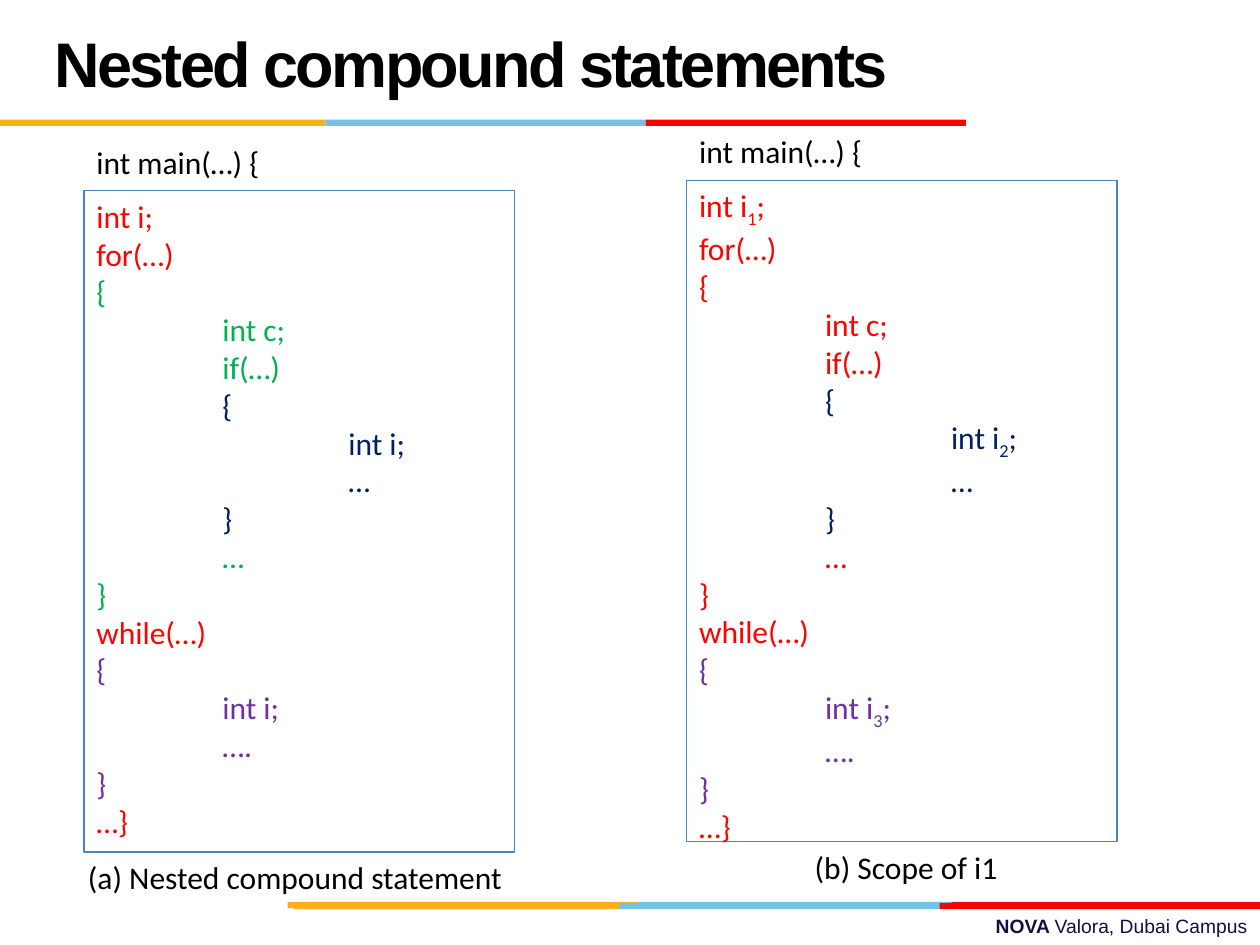
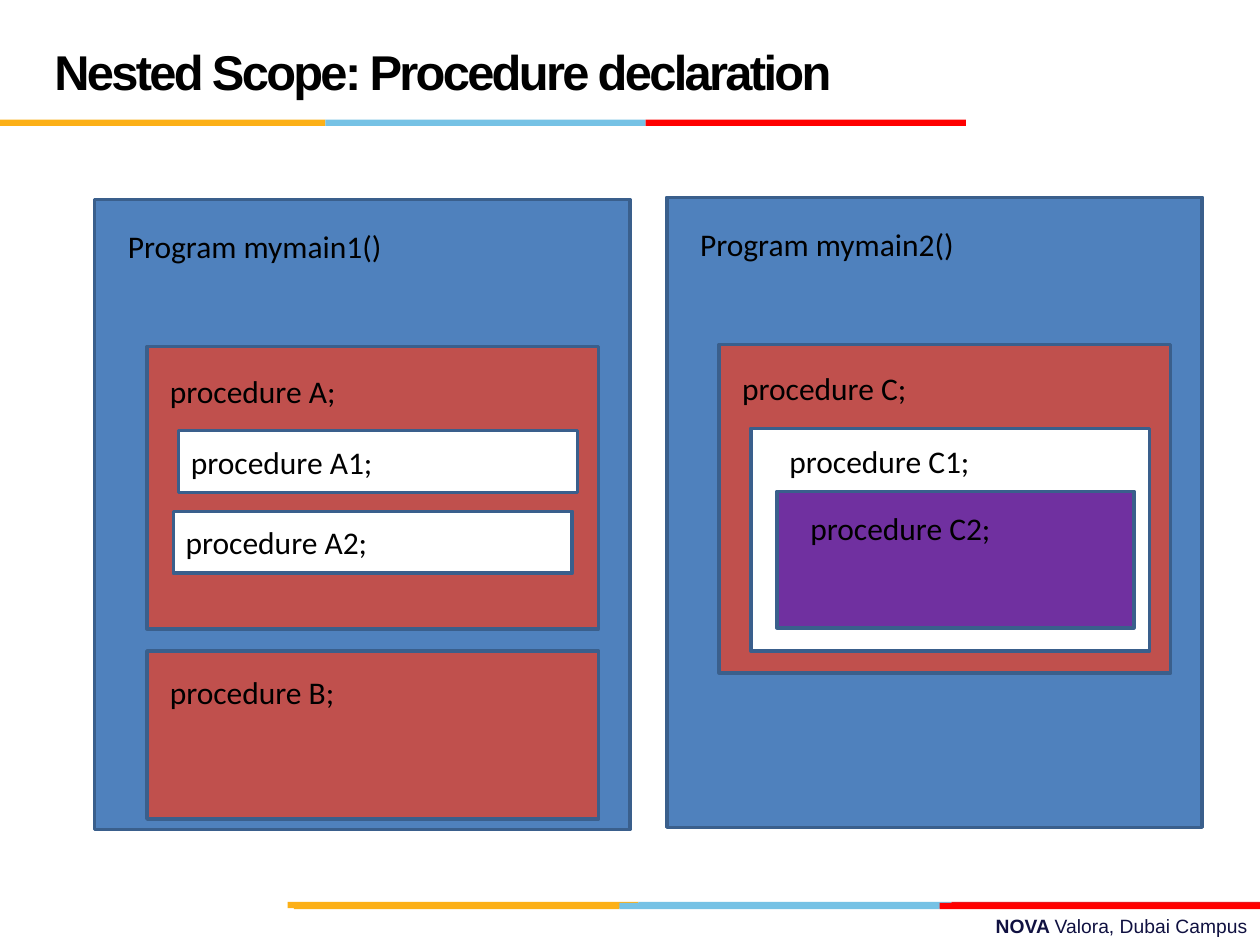
from dataclasses import dataclass

from pptx import Presentation, util as u
from pptx.dml.color import RGBColor
from pptx.enum import shapes, text

COLORS = {
    "black": "000000", "white": "FFFFFF", "navy": "101141",
    "amber": "FCB017", "sky": "76C2E5", "crimson": "E31C24", "red": "FF0000",
    "blue": "4F81BD", "edge": "3A5F8C", "brick": "C0504D",
    "green": "00B050", "ink": "002060", "purple": "7030A0",
}
# The slide is a grid of square cells
COLS, ROWS = 120, 90
CELL = u.Inches(10) / COLS
LABEL_ROWS = 4.8


def rgb(name):
    return RGBColor.from_string(COLORS[name])


def place(box):
    return [u.Emu(round(cells * CELL)) for cells in box]


def add_run(paragraph, wording, color="black", size=18, font="Calibri", bold=False):
    run = paragraph.add_run()
    run.text = wording
    run.font.name, run.font.size, run.font.bold = font, u.Pt(size), bold
    run.font.color.rgb = rgb(color)
    return run


def add_box(slide, box, fill=None, edge=None, weight=2):
    rect = slide.shapes.add_shape(shapes.MSO_SHAPE.RECTANGLE, *place(box))
    rect.shadow.inherit = False
    if fill:
        rect.fill.solid()
        rect.fill.fore_color.rgb = rgb(fill)
    else:
        rect.fill.background()
    if edge:
        rect.line.color.rgb = rgb(edge)
        rect.line.width = u.Pt(weight)
    else:
        rect.line.fill.background()
    return rect


def add_paragraph_box(slide, box, align=text.PP_ALIGN.LEFT):
    frame = slide.shapes.add_textbox(*place(box)).text_frame
    frame.word_wrap = True
    frame.paragraphs[0].alignment = align
    return frame.paragraphs[0], frame


def add_label(slide, box, wording, align=text.PP_ALIGN.LEFT):
    paragraph, _ = add_paragraph_box(slide, box, align)
    add_run(paragraph, wording)


# Shared frame: bands, footer and title
def add_band(slide, col, row, widths, tints):
    for width, tint in zip(widths, tints):
        add_box(slide, (col, row, width, 0.6), tint)
        col += width


def add_frame(slide, heading, heading_size):
    footer, _ = add_paragraph_box(slide, (43, 86.5, 77, 3.5), text.PP_ALIGN.RIGHT)
    add_run(footer, "NOVA ", "navy", 11, "Arial", True)
    add_run(footer, "Valora, Dubai Campus", "navy", 11, "Arial")

    thirds = (31, 30.5, 30.5)
    tints = ("amber", "sky", "red")
    add_band(slide, 27.4, 85.9, (33.4, 29.8, 29.4), ("amber", "sky", "crimson"))
    add_band(slide, COLS - sum(thirds), 86, thirds, tints)
    add_band(slide, 0, 11.4, thirds, tints)

    title, frame = add_paragraph_box(slide, (4, 2, 83, 9.1))
    frame.vertical_anchor = text.MSO_ANCHOR.MIDDLE
    title.line_spacing = u.Pt(36)
    run = add_run(title, heading, "black", heading_size, "Arial", True)
    run.font._element.set("spc", "-150")


# Code listing: depth, scope, wording; "_" precedes the number of a variable
CODE = [
    (0, "main", "int i_1;"), (0, "main", "for(…)"),
    (0, "for", "{"), (1, "for", "int c;"), (1, "for", "if(…)"),
    (1, "if", "{"), (2, "if", "int i_2;"), (2, "if", "…"), (1, "if", "}"),
    (1, "for", "…"), (0, "for", "}"),
    (0, "main", "while(…)"),
    (0, "while", "{"), (1, "while", "int i_3;"), (1, "while", "…."), (0, "while", "}"),
    (0, "main", "…}"),
]


def add_listing(slide, left, top, caption, align, for_color, numbered):
    scope_colors = {"main": "red", "for": for_color, "if": "ink", "while": "purple"}
    head, width, height = 5.16, 41, 63
    add_label(slide, (left, top, 32, LABEL_ROWS), "int main(…) {")

    body = add_box(slide, (left, top + head, width, height), None, "blue", 0.75).text_frame
    body.word_wrap = True
    body.vertical_anchor = text.MSO_ANCHOR.TOP
    for number, (depth, scope, line) in enumerate(CODE):
        paragraph = body.add_paragraph() if number else body.paragraphs[0]
        paragraph.alignment = text.PP_ALIGN.LEFT
        paragraph._p.get_or_add_pPr().set("marL", str(u.Inches(depth)))
        color = scope_colors[scope]
        stem, _, rest = line.partition("_")
        if rest and numbered:
            add_run(paragraph, stem, color)
            index = add_run(paragraph, rest[0], color)
            index.font._element.set("baseline", "-25000")
            add_run(paragraph, rest[1:], color)
        else:
            add_run(paragraph, stem + rest[1:], color)

    add_label(slide, (left - 0.8, top + head + height, 43.4, LABEL_ROWS), caption, align)


# Nested scopes: every box and label is relative to the scope around it
@dataclass
class Scope:
    wording: str
    box: tuple
    fill: str
    label: tuple = None  # column, row, width; without it the wording fills the box
    inner: tuple = ()


PROGRAMS = [
    Scope("Program mymain1()", (9, 19, 51, 60), "blue", (2, 2, 36), (
        Scope("procedure A;", (5, 14, 43, 26.9), "brick", (1, 1.8, 26), (
            Scope("procedure A1;", (3, 8, 38, 5.9), "white"),
            Scope("procedure A2;", (2.5, 15.7, 38, 5.9), "white"),
        )),
        Scope("procedure B;", (5, 43, 43, 16), "brick", (1, 1.5, 23)),
    )),
    Scope("Program mymain2()", (63.5, 18.8, 51, 60), "blue", (2, 2, 36), (
        Scope("procedure C;", (5, 14, 43, 31.3), "brick", (1, 1.8, 26), (
            Scope("procedure C1;", (3, 8, 38, 21.2), "white", (2.5, 0.7, 32), (
                Scope("procedure C2;", (2.5, 6, 34, 13), "purple", (2, 1.1, 24)),
            )),
        )),
    )),
]


def add_scope(slide, scope, origin=(0, 0)):
    left, top = origin[0] + scope.box[0], origin[1] + scope.box[1]
    rect = add_box(slide, (left, top, *scope.box[2:]), scope.fill, "edge")
    if scope.label:
        col, row, width = scope.label
        add_label(slide, (left + col, top + row, width, LABEL_ROWS), scope.wording)
    else:
        rect.text_frame.vertical_anchor = text.MSO_ANCHOR.MIDDLE
        paragraph = rect.text_frame.paragraphs[0]
        paragraph.alignment = text.PP_ALIGN.LEFT
        add_run(paragraph, scope.wording)
    for inner in scope.inner:
        add_scope(slide, inner, (left, top))


def build_statements(slide):
    add_frame(slide, "Nested compound statements", 36)
    add_listing(slide, 8, 13, "(a) Nested compound statement",
                text.PP_ALIGN.LEFT, "green", False)
    add_listing(slide, 65.4, 12, "(b) Scope of i1",
                text.PP_ALIGN.CENTER, "red", True)


def build_procedures(slide):
    add_frame(slide, "Nested Scope: Procedure declaration", 27.9)
    for program in PROGRAMS:
        add_scope(slide, program)


def main():
    deck = Presentation()
    deck.slide_width, deck.slide_height = place((COLS, ROWS))
    for build in (build_statements, build_procedures):
        build(deck.slides.add_slide(deck.slide_layouts[6]))
    deck.save("out.pptx")


if __name__ == "__main__":
    main()
